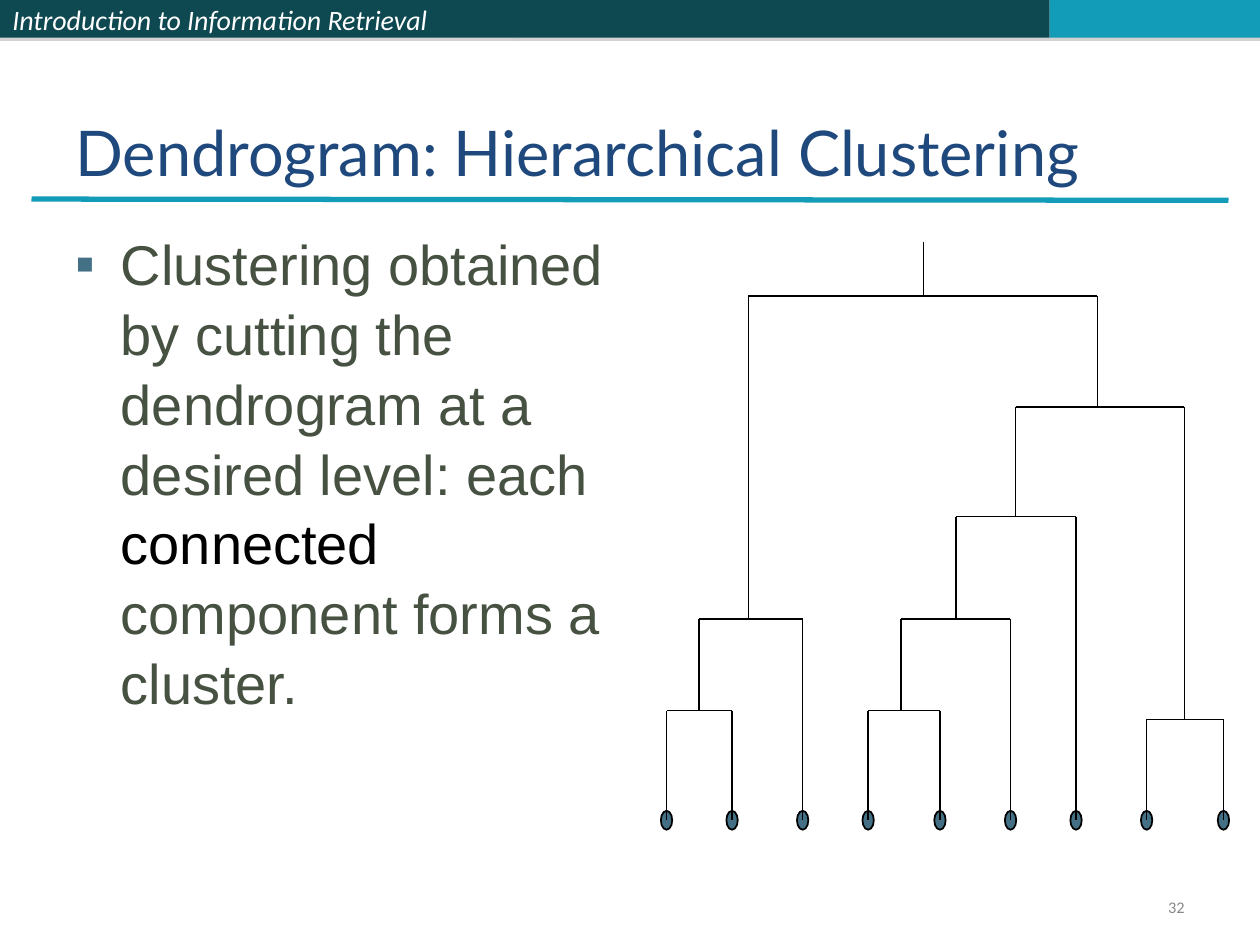
from dataclasses import dataclass

from lxml import etree
from pptx import Presentation
from pptx.dml.color import RGBColor
from pptx.enum import shapes, text
from pptx.oxml import ns
from pptx.util import Inches, Pt


@dataclass(frozen=True)
class Theme:
    dark: RGBColor = RGBColor.from_string("0E4851")
    teal: RGBColor = RGBColor.from_string("139CB7")
    title: RGBColor = RGBColor.from_string("1F497D")
    body: RGBColor = RGBColor.from_string("465142")
    node: RGBColor = RGBColor.from_string("437085")
    number: RGBColor = RGBColor.from_string("898989")
    white: RGBColor = RGBColor.from_string("FFFFFF")
    black: RGBColor = RGBColor.from_string("000000")
    header_size: Pt = Pt(16)
    title_size: Pt = Pt(36)
    body_size: Pt = Pt(32)
    number_size: Pt = Pt(9.3)


theme = Theme()
presentation = Presentation()
presentation.slide_width, presentation.slide_height = Inches(10), Inches(7.5)
slide = presentation.slides.add_slide(presentation.slide_layouts[6])


def add_line(x1, y1, x2, y2, color=theme.black, width=1):
    line = slide.shapes.add_connector(
        shapes.MSO_CONNECTOR.STRAIGHT, Inches(x1), Inches(y1), Inches(x2), Inches(y2))
    line.line.color.rgb = color
    line.line.width = Pt(width)
    etree.SubElement(line._element.spPr, ns.qn("a:effectLst"))


def set_text(shape, words, font_name, size, color, anchor):
    frame = shape.text_frame
    frame.word_wrap = True
    frame.vertical_anchor = anchor
    paragraph = frame.paragraphs[0]
    paragraph.text = words
    paragraph.font.name = font_name
    paragraph.font.size = size
    paragraph.font.color.rgb = color
    return paragraph


# Header bars, each with a thin shadow below
bars = []
for left, width, color in [(0, 4.08, theme.dark), (4.08, 4.25, theme.dark), (8.33, 1.67, theme.teal)]:
    bar = slide.shapes.add_shape(
        shapes.MSO_SHAPE.RECTANGLE, Inches(left), 0, Inches(width), Inches(0.3))
    bar.fill.solid()
    bar.fill.fore_color.rgb = color
    bar.line.fill.background()
    bar.shadow.inherit = False
    effects = bar._element.spPr.find(ns.qn("a:effectLst"))
    shadow = etree.SubElement(effects, ns.qn("a:outerShdw"), dist=str(Pt(1.8)), dir="5400000")
    shadow_color = etree.SubElement(shadow, ns.qn("a:srgbClr"), val="808080")
    etree.SubElement(shadow_color, ns.qn("a:alpha"), val="35000")
    bars.append(bar)

header = set_text(bars[0], "Introduction to Information Retrieval", "Calibri",
                  theme.header_size, theme.white, text.MSO_ANCHOR.MIDDLE)
header.alignment = text.PP_ALIGN.LEFT
header.font.italic = True

# Title and rule
add_line(0.25, 1.58, 9.75, 1.59, theme.teal, 3)
title_box = slide.shapes.add_textbox(Inches(0.5), Inches(0.3), Inches(9), Inches(1.25))
set_text(title_box, "Dendrogram: Hierarchical Clustering", "Lato",
         theme.title_size, theme.title, text.MSO_ANCHOR.BOTTOM)

# Bulleted body text
body_box = slide.shapes.add_textbox(Inches(0.5), Inches(1.75), Inches(4.42), Inches(4.95))
body = body_box.text_frame.paragraphs[0]
properties = body._p.get_or_add_pPr()
properties.set("marL", str(Inches(0.36)))
properties.set("indent", str(-Inches(0.36)))
bullet_color = etree.SubElement(properties, ns.qn("a:buClr"))
etree.SubElement(bullet_color, ns.qn("a:srgbClr"), val=str(theme.node))
etree.SubElement(properties, ns.qn("a:buFont"), typeface="Arial")
etree.SubElement(properties, ns.qn("a:buChar"), char="▪")
set_text(body_box, "Clustering obtained by cutting the dendrogram at a desired level: each ",
         "Arial", theme.body_size, theme.body, text.MSO_ANCHOR.TOP)
body.line_spacing = 1.04
emphasis = body.add_run()
emphasis.text = "connected"
emphasis.font.color.rgb = theme.black
body.add_run().text = " component forms a cluster."

# Slide number
number_box = slide.shapes.add_textbox(Inches(7.17), Inches(7.08), Inches(2.33), Inches(0.27))
number = set_text(number_box, "32", "Calibri", theme.number_size, theme.number,
                  text.MSO_ANCHOR.MIDDLE)
number.alignment = text.PP_ALIGN.RIGHT
number.line_spacing = 0.8

# Dendrogram leaves
leaf_y, leaf_width, leaf_height = 6.51, 0.09, 0.15
leaf_centers = dict(zip("abcdefghi", [5.29, 5.81, 6.37, 6.89, 7.46, 8.02, 8.54, 9.1, 9.71]))
nodes = {}
for name, x in leaf_centers.items():
    leaf = slide.shapes.add_shape(
        shapes.MSO_SHAPE.OVAL, Inches(x - leaf_width / 2), Inches(leaf_y - leaf_height / 2),
        Inches(leaf_width), Inches(leaf_height))
    leaf.fill.solid()
    leaf.fill.fore_color.rgb = theme.node
    leaf.line.color.rgb = theme.black
    leaf.line.width = Pt(1)
    leaf.shadow.inherit = False
    nodes[name] = (x, leaf_y)

# Merges from the bottom up: left child, right child, stem x, level
merges = [
    ("a", "b", 5.55, 5.64),
    ("d", "e", 7.15, 5.64),
    ("h", "i", 9.4, 5.71),
    ("ab", "c", 5.94, 4.91),
    ("de", "f", 7.59, 4.91),
    ("def", "g", 8.06, 4.1),
    ("defg", "hi", 8.71, 3.23),
    ("abc", "defghi", 7.33, 2.35),
]
for left, right, stem_x, level in merges:
    for child in (left, right):
        child_x, child_y = nodes[child]
        add_line(child_x, level, child_x, child_y)
    add_line(nodes[left][0], level, nodes[right][0], level)
    nodes[left + right] = (stem_x, level)

# Root stem
root_x, root_y = nodes["abcdefghi"]
add_line(root_x, 1.92, root_x, root_y)

presentation.save("out.pptx")
